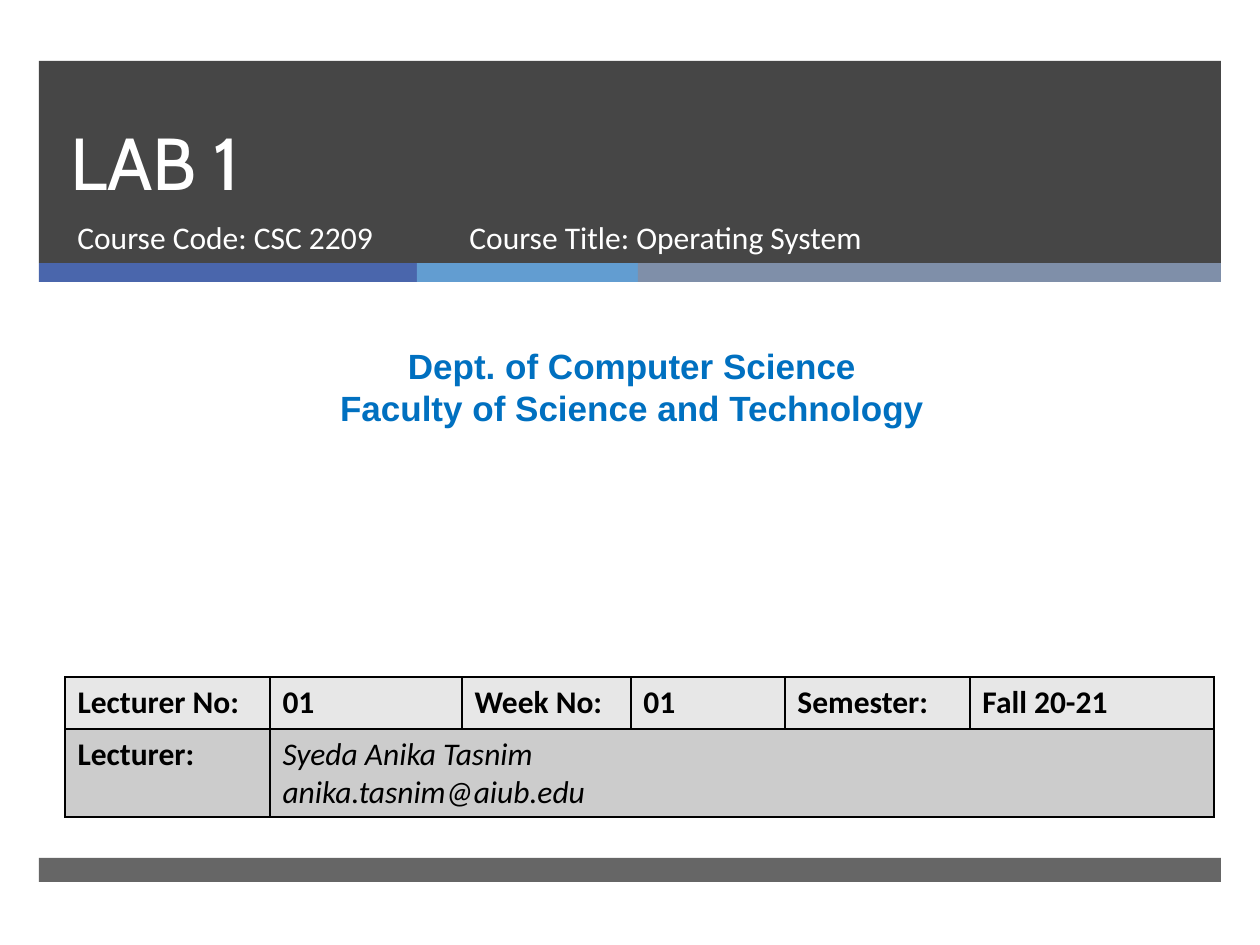
from lxml import etree
from pptx import Presentation
from pptx import util as u
from pptx.dml.color import RGBColor
from pptx.enum import shapes, text
from pptx.oxml.ns import qn

PX = 914400 / 126


def px(*lengths):
    return [u.Emu(round(length * PX)) for length in lengths]


def add_run(paragraph, words, size, font, color, bold=False, italic=False):
    run = paragraph.add_run()
    run.text = words
    run.font.size = u.Pt(size)
    run.font.name = font
    run.font.bold = bold
    run.font.italic = italic
    run.font.color.rgb = RGBColor.from_string(color)


presentation = Presentation()
presentation.slide_width, presentation.slide_height = px(1260, 945)
slide = presentation.slides.add_slide(presentation.slide_layouts[5])

# Header band, three-colour strip and footer band: box, colour, opacity in %
bands = [
    ((39, 61, 1182, 202), "262626", 85),
    ((39, 263, 378, 19), "4A66AC", 100),
    ((417, 263, 221, 19), "629DD1", 100),
    ((638, 263, 583, 19), "7F8FA9", 100),
    ((39, 858, 1182, 24), "262626", 70),
]
for box, color, opacity in bands:
    band = slide.shapes.add_shape(shapes.MSO_SHAPE.RECTANGLE, *px(*box))
    band.shadow.inherit = False
    band.line.fill.background()
    band.fill.solid()
    band.fill.fore_color.rgb = RGBColor.from_string(color)
    if opacity < 100:
        color_element = band.fill._xPr.find(".//" + qn("a:srgbClr"))
        etree.SubElement(color_element, qn("a:alpha"), val=str(opacity * 1000))

# Title, moved in front of the bands
title = slide.shapes.title
slide.shapes._spTree.append(title._element)
title.left, title.top, title.width, title.height = px(58, 62, 1076, 150)
title.text_frame.auto_size = text.MSO_AUTO_SIZE.NONE
title.text_frame.vertical_anchor = text.MSO_ANCHOR.BOTTOM
paragraph = title.text_frame.paragraphs[0]
paragraph.alignment = text.PP_ALIGN.LEFT
paragraph.line_spacing = u.Pt(46)
add_run(paragraph, "LAB 1", 42, "Cabin", "FFFFFF")

# Course details and department
left, center = text.PP_ALIGN.LEFT, text.PP_ALIGN.CENTER
text_boxes = [
    ((65, 212, 384, 67), ["Course Code: CSC 2209"], 18, "Calibri", "FFFFFF", False, left),
    ((457, 212, 573, 67), ["Course Title: Operating System"], 18, "Calibri", "FFFFFF", False, left),
    ((10, 338, 1244, 97), ["Dept. of Computer Science", "Faculty of Science and Technology"],
     20, "Arial", "0070C0", True, center),
]
for box, lines, size, font, color, bold, alignment in text_boxes:
    frame = slide.shapes.add_textbox(*px(*box)).text_frame
    frame.word_wrap = True
    for index, line in enumerate(lines):
        paragraph = frame.add_paragraph() if index else frame.paragraphs[0]
        paragraph.alignment = alignment
        add_run(paragraph, line, size, font, color, bold)

# Lecture table
column_widths = [205, 192, 169, 154, 185, 244]
row_heights = [52, 88]
row_fills = ["E7E7E7", "CCCCCC"]
rows = [
    ["Lecturer No:", "01", "Week No:", "01", "Semester:", "Fall 20-21"],
    ["Lecturer:", "Syeda Anika Tasnim\nanika.tasnim@aiub.edu", "", "", "", ""],
]
table = slide.shapes.add_table(
    2, 6, *px(65, 677, sum(column_widths), sum(row_heights))).table
for column, width in zip(table.columns, px(*column_widths)):
    column.width = width
for row, height in zip(table.rows, px(*row_heights)):
    row.height = height
table.cell(1, 1).merge(table.cell(1, 5))

for row_index, row in enumerate(rows):
    for column_index, words in enumerate(row):
        cell = table.cell(row_index, column_index)
        is_lecturer = row_index == 1 and column_index == 1
        for index, line in enumerate(words.split("\n") if words else []):
            frame = cell.text_frame
            paragraph = frame.add_paragraph() if index else frame.paragraphs[0]
            add_run(paragraph, line, 18, "Calibri", "000000",
                    bold=not is_lecturer, italic=is_lecturer)
        # Borders come before the fill in the cell properties
        properties = cell._tc.get_or_add_tcPr()
        for side in ("a:lnL", "a:lnR", "a:lnT", "a:lnB"):
            border = etree.SubElement(properties, qn(side), w=str(u.Pt(1)))
            line_fill = etree.SubElement(border, qn("a:solidFill"))
            etree.SubElement(line_fill, qn("a:srgbClr"), val="000000")
        cell.fill.solid()
        cell.fill.fore_color.rgb = RGBColor.from_string(row_fills[row_index])

presentation.save("out.pptx")
